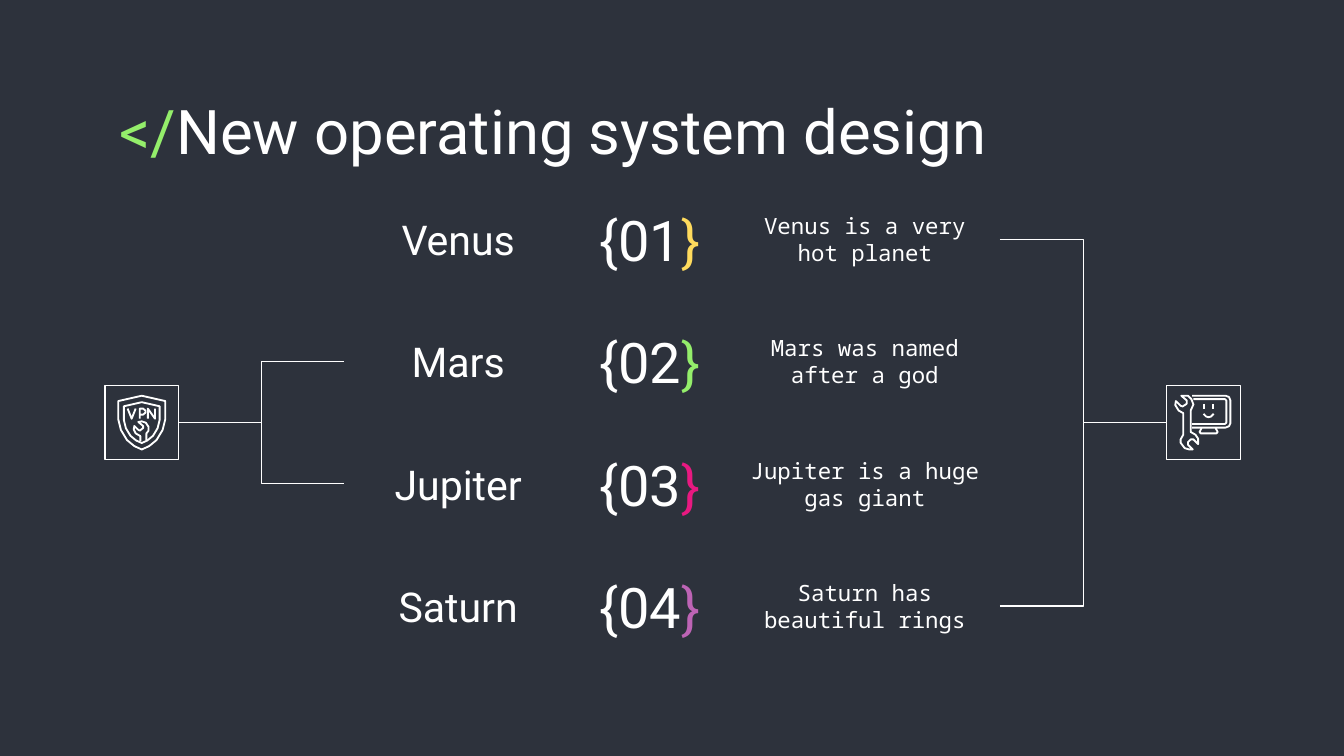
from lxml import etree
from pptx import Presentation
from pptx.dml.color import RGBColor
from pptx.enum.shapes import MSO_CONNECTOR, MSO_SHAPE
from pptx.enum.text import MSO_ANCHOR, MSO_AUTO_SIZE, PP_ALIGN
from pptx.oxml.ns import qn
from pptx.util import Inches, Pt

ELBOW, STRAIGHT = MSO_CONNECTOR.ELBOW, MSO_CONNECTOR.STRAIGHT
RECT = MSO_SHAPE.RECTANGLE
TOP, MIDDLE = MSO_ANCHOR.TOP, MSO_ANCHOR.MIDDLE
LEFT, CENTER = PP_ALIGN.LEFT, PP_ALIGN.CENTER
NO_FIT = MSO_AUTO_SIZE.NONE
WEST, EAST = 1, 3

HEAD, MONO = "Roboto", "Noto Sans Mono"
DARK, WHITE, GREEN = "2D323C", "FFFFFF", "94EE6B"
COLS, ROWS = 100, 56.25  # square cells over a 10 inch wide slide

PLANETS = [
    ("Venus", "Venus is a very hot planet", "FFDB5D"),
    ("Mars", "Mars was named after a god", GREEN),
    ("Jupiter", "Jupiter is a huge gas giant", "E81981"),
    ("Saturn", "Saturn has beautiful rings", "BD64B5"),
]
FIRST, STEP, TALL = 15.3, 9.1, 5
TILE = 5.5

# Icon strokes, in cells from the centre of the tile
HALF = [(0, -2), (1.75, -1.6), (1.75, -0.25), (1.55, 0.55), (1.1, 1.3),
        (0.55, 1.75), (0, 2)]
SHIELD = HALF + [(-x, y) for x, y in HALF[-2:0:-1]]
INNER = [(x * 0.76, y * 0.76) for x, y in SHIELD]
LETTERS = [
    [(-1.05, -1.05), (-0.75, -0.3), (-0.45, -1.05)],
    [(-0.15, -0.3), (-0.15, -1.05), (0.1, -1.05), (0.27, -0.9),
     (0.27, -0.75), (0.1, -0.6), (-0.15, -0.6)],
    [(0.45, -0.3), (0.45, -1.05), (0.98, -0.3), (0.98, -1.05)],
]
SPANNER = [(0.35, 1.3), (0.35, 0.8), (0.5, 0.6), (0.5, 0.3), (0.3, 0),
           (0, -0.1), (-0.25, -0.05), (0.1, 0.25), (0.1, 0.4),
           (-0.15, 0.6), (-0.3, 0.5), (-0.55, 0.25), (-0.6, 0.5),
           (-0.45, 0.8), (-0.1, 1), (-0.1, 1.4)]
WRENCH = [(-1.65, -2), (-1.25, -1.65), (-1.25, -1.4), (-1.55, -1.2),
          (-1.7, -1.25), (-2.05, -1.6), (-2.1, -1.3), (-1.85, -0.9),
          (-1.5, -0.7), (-1.5, 0.9), (-1.7, 1.25), (-1.7, 1.5),
          (-1.4, 1.9), (-1.05, 2), (-0.8, 2), (-1.15, 1.65),
          (-1.15, 1.45), (-0.95, 1.25), (-0.75, 1.25), (-0.4, 1.6),
          (-0.4, 1.2), (-0.6, 0.9), (-0.95, 0.7), (-0.95, -0.9),
          (-0.75, -1.35), (-0.9, -1.75), (-1.15, -2)]
SCREEN = [
    [(-0.85, -2), (1.65, -2), (1.9, -1.9), (2, -1.65), (2, 0.05),
     (1.9, 0.27), (1.65, 0.37), (-0.85, 0.37)],
    [(-0.75, -1.75), (1.6, -1.75), (1.7, -1.65), (1.7, 0),
     (1.6, 0.1), (-0.85, 0.1)],
    [(-0.15, 0.4), (-0.3, 0.7), (-0.2, 0.8), (0.95, 0.8), (1.05, 0.7),
     (0.9, 0.4)],
    [(0, -0.65), (0.2, -0.45), (0.37, -0.4), (0.55, -0.45), (0.75, -0.65)],
]


def tint(code):
    return RGBColor.from_string(code)


class Board:
    """Slide being filled, with its cell size and line style."""

    def __init__(self, deck):
        self.cell = deck.slide_width / COLS
        self.slide = deck.slides.add_slide(deck.slide_layouts[5])
        self.shapes = self.slide.shapes
        fill = self.slide.background.fill
        fill.solid()
        fill.fore_color.rgb = tint(DARK)

    def span(self, *cells):
        return [round(n * self.cell) for n in cells]

    def label(self, shape, runs, font, size, align, anchor):
        """Fill a shape with one paragraph of (text, colour) runs."""
        frame = shape.text_frame
        frame.word_wrap = True
        frame.auto_size = NO_FIT
        frame.vertical_anchor = anchor
        frame.margin_left = frame.margin_right = Inches(0.1)
        frame.margin_top = frame.margin_bottom = Inches(0.1)
        para = frame.paragraphs[0]
        para.alignment = align
        for words, color in runs:
            run = para.add_run()
            run.text = words
            run.font.name = font
            run.font.size = Pt(size)
            run.font.color.rgb = tint(color)

    def title(self, cells, runs):
        shape = self.shapes.title
        shape.left, shape.top, shape.width, shape.height = self.span(*cells)
        self.label(shape, runs, HEAD, 33, LEFT, TOP)

    def text(self, cells, runs, font, size):
        shape = self.shapes.add_textbox(*self.span(*cells))
        self.label(shape, runs, font, size, CENTER, MIDDLE)
        return shape

    def ink(self, shape, width):
        shape.line.color.rgb = tint(WHITE)
        shape.line.width = Pt(width)

    def tile(self, x, y):
        """Draw an outlined square around a centre."""
        half = TILE / 2
        shape = self.shapes.add_shape(
            RECT, *self.span(x - half, y - half, TILE, TILE))
        shape.shadow.inherit = False
        shape.fill.background()
        self.ink(shape, 0.75)
        return shape

    def stroke(self, x, y, dots, close=False):
        """Draw a thin outline through dots around a centre."""
        spots = [self.span(x + dx, y + dy) for dx, dy in dots]
        pen = self.shapes.build_freeform(*spots[0])
        pen.add_line_segments(spots[1:], close=close)
        shape = pen.convert_to_shape()
        shape.shadow.inherit = False
        shape.fill.background()
        self.ink(shape, 1)

    def line(self, kind, ends, width):
        wire = self.shapes.add_connector(kind, *self.span(*ends))
        self.ink(wire, width)
        etree.SubElement(wire._element.spPr, qn("a:effectLst"))
        return wire

    def join(self, start, end):
        """Run an elbow from one shape's right to another's left."""
        wire = self.line(ELBOW, (0, 0, 1, 1), 0.75)
        wire.begin_connect(start, EAST)
        wire.end_connect(end, WEST)


def main():
    deck = Presentation()
    deck.slide_width = Inches(10)
    deck.slide_height = round(deck.slide_width * ROWS / COLS)
    board = Board(deck)
    board.title((7.9, 5.9, 84.3, 6.3),
                [("</", GREEN), ("New operating system design", WHITE)])

    names, facts = [], []
    for i, (name, fact, color) in enumerate(PLANETS):
        top = FIRST + i * STEP
        names.append(board.text((25.6, top, 17, TALL),
                                [(name, WHITE)], HEAD, 22))
        facts.append(board.text((54.3, top, 20.1, TALL),
                                [(fact, WHITE)], MONO, 12))
        board.text((42.5, top, 11.7, TALL),
                   [(f"{{{i + 1:02}", WHITE), ("}", color)], HEAD, 30)

    mid = FIRST + (TALL + STEP * (len(PLANETS) - 1)) / 2
    west, east = 10.55, 89.55
    shield, screen = board.tile(west, mid), board.tile(east, mid)
    for name in names[1:3]:
        board.join(shield, name)
    for fact in (facts[0], facts[-1]):
        board.join(fact, screen)

    for dots in (SHIELD, INNER):
        board.stroke(west, mid, dots, close=True)
    for dots in LETTERS + [SPANNER]:
        board.stroke(west, mid, dots)
    board.stroke(east, mid, WRENCH, close=True)
    for dots in SCREEN:
        board.stroke(east, mid, dots)
    for eye in (0.05, 0.7):
        board.line(STRAIGHT, (east + eye, mid - 1.4, east + eye, mid - 1), 1)
    deck.save("out.pptx")


if __name__ == "__main__":
    main()
